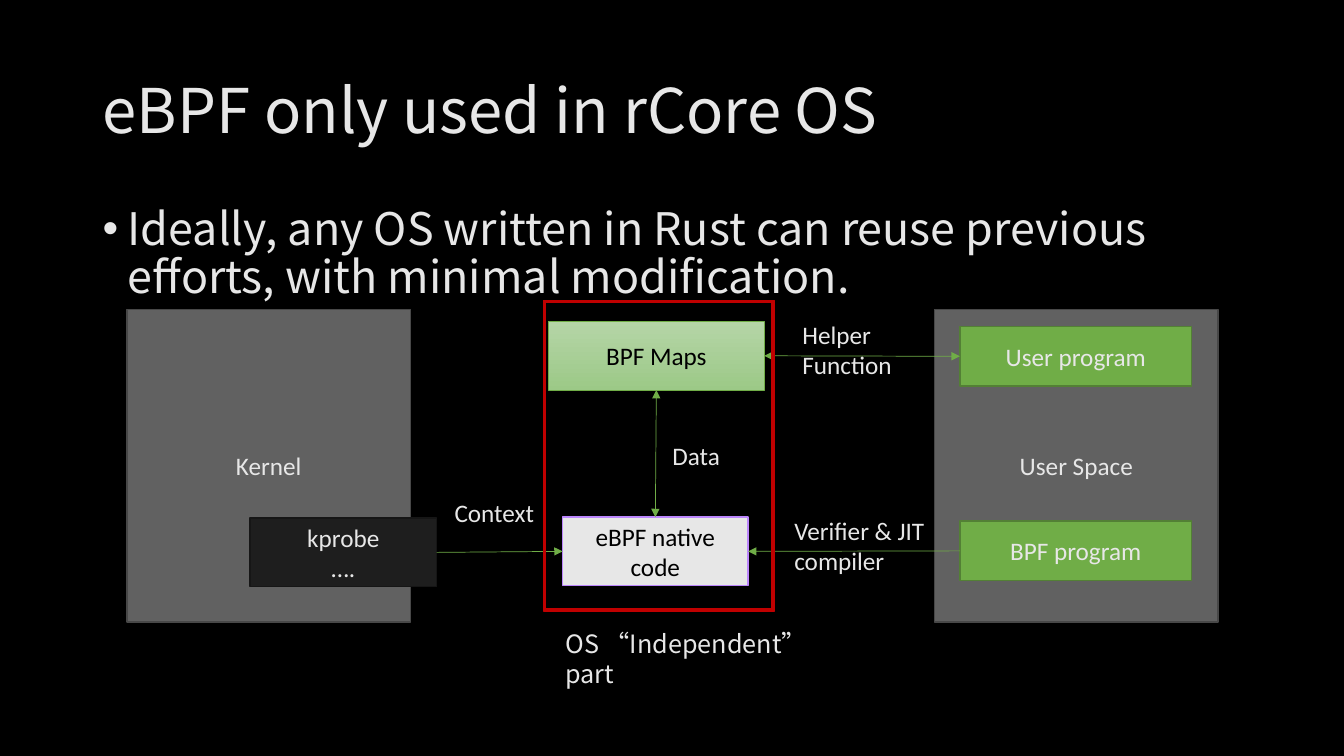
from lxml.etree import SubElement
from pptx import Presentation
from pptx.dml.color import RGBColor
from pptx.enum.shapes import MSO_CONNECTOR as Link, MSO_SHAPE as Shape
from pptx.enum.text import MSO_ANCHOR as Anchor, MSO_AUTO_SIZE as Fit, PP_ALIGN as Align
from pptx.oxml.ns import qn
from pptx.util import Inches, Pt

TOP, LEFT, BOTTOM, RIGHT = range(4)  # connection sites of a rectangle


def colour(code):
    return RGBColor.from_string(code)


class Sketch:
    """Style and current slide; places are columns and rows of a 0.1 inch grid."""

    CELL = 0.1
    PALE, BLACK, GREEN = "E7E7E7", "000000", "70AD47"
    BODY, HEADING = "Calibri", "Noto Sans CJK SC"

    def __init__(self, deck):
        self.slide = deck.slides.add_slide(deck.slide_layouts[5])
        self.shapes = self.slide.shapes
        self.slide.background.fill.solid()
        self.slide.background.fill.fore_color.rgb = colour(self.BLACK)

    def grid(self, *cells):
        return [Inches(cell * self.CELL) for cell in cells]

    def add_span(self, para, text, size=18, font=BODY, ink=PALE):
        span = para.add_run()
        span.text = text
        span.font.size = Pt(size)
        span.font.name = font
        span.font.color.rgb = colour(ink)
        SubElement(span.font._element, qn("a:ea"), typeface=font)

    def title(self, text, place):
        box = self.shapes.title
        box.left, box.top, box.width, box.height = self.grid(*place)
        frame = box.text_frame
        frame.auto_size = Fit.NONE
        frame.vertical_anchor = Anchor.MIDDLE
        para = frame.paragraphs[0]
        para.alignment = Align.LEFT
        para.line_spacing = 0.9
        self.add_span(para, text, 44, self.HEADING)

    def label(self, text, place, size=18, font=BODY):
        box = self.shapes.add_textbox(*self.grid(*place))
        box.text_frame.word_wrap = True
        para = box.text_frame.paragraphs[0]
        self.add_span(para, text, size, font)
        return para

    def bullet(self, text, place):
        para = self.label(text, place, 32, self.HEADING)
        para.line_spacing = 0.9
        props = para._p.get_or_add_pPr()
        props.set("marL", str(Inches(0.25)))
        props.set("indent", str(-Inches(0.25)))
        SubElement(props, qn("a:buFont"), typeface="Arial")
        SubElement(props, qn("a:buChar"), char="•")

    def box(self, lines, place, fill, edge, ink=PALE, weight=1, kind=Shape.RECTANGLE):
        """Draw a filled shape; a pair of fills runs from top to bottom."""
        shape = self.shapes.add_shape(kind, *self.grid(*place))
        shape.shadow.inherit = False
        if isinstance(fill, tuple):
            shape.fill.gradient()
            shape.fill.gradient_angle = 270
            for stop, (position, code) in zip(shape.fill.gradient_stops, enumerate(fill)):
                stop.position = position
                stop.color.rgb = colour(code)
        else:
            shape.fill.solid()
            shape.fill.fore_color.rgb = colour(fill)
        shape.line.color.rgb = colour(edge)
        shape.line.width = Pt(weight)
        frame = shape.text_frame
        frame.vertical_anchor = Anchor.MIDDLE
        for index, text in enumerate(lines):
            para = frame.add_paragraph() if index else frame.paragraphs[0]
            para.alignment = Align.CENTER
            self.add_span(para, text, ink=ink)
        return shape

    def arrow(self, start, start_site, end, end_site, both=False):
        line = self.shapes.add_connector(Link.STRAIGHT, 0, 0, 0, 0)
        line.begin_connect(start, start_site)
        line.end_connect(end, end_site)
        line.line.color.rgb = colour(self.GREEN)
        line.line.width = Pt(0.5)
        for tip in ("headEnd", "tailEnd") if both else ("tailEnd",):
            SubElement(line.line._get_or_add_ln(), qn(f"a:{tip}"), type="triangle")
        SubElement(line._element.spPr, qn("a:effectLst"))


def main():
    deck = Presentation()
    deck.slide_width, deck.slide_height = Inches(13.33), Inches(7.5)
    sketch = Sketch(deck)
    pale, black, green = sketch.PALE, sketch.BLACK, sketch.GREEN

    sketch.title("eBPF only used in rCore OS", (9.2, 4, 115, 14.5))
    sketch.bullet("Ideally, any OS written in Rust can reuse previous efforts, "
                  "with minimal modification.", (9.2, 20, 115, 47.6))

    for name, column in (("Kernel", 12.6), ("User Space", 92.7)):
        sketch.box([name], (column, 30.7, 28.1, 31), "616161", "484848")
    kprobe = sketch.box(["kprobe", "…."], (24.8, 51.4, 18.5, 6.8), "1E1E1E", "161616")
    native = sketch.box(["eBPF native code"], (55.8, 51.3, 18.4, 6.8), pale, "BB86FC", black)
    maps = sketch.box(["BPF Maps"], (54.4, 31.9, 21.4, 6.8), ("B5D5A7", "9CC987"),
                      green, black, 0.5)
    user, program = [
        sketch.box([name], (95.2, row, 23, 5.9), green, "538035")
        for name, row in (("User program", 32.4), ("BPF program", 51.7))
    ]

    sketch.arrow(kprobe, RIGHT, native, LEFT)
    sketch.arrow(native, TOP, maps, BOTTOM, both=True)
    sketch.arrow(user, LEFT, maps, RIGHT, both=True)
    sketch.arrow(program, LEFT, native, RIGHT)

    sketch.label("Context", (44.1, 48.8, 17.4, 4))
    sketch.label("Data", (65.7, 43.2, 19.5, 4))
    sketch.label("Helper Function", (78.6, 31.2, 13.8, 7.1))
    sketch.label("Verifier & JIT compiler", (77.8, 50.6, 15.4, 7.1))

    border = sketch.box([], (53.9, 29.8, 22.9, 30.8), "C00000", "C00000", kind=Shape.FRAME)
    border.adjustments[0] = 0.01
    sketch.label("OS “Independent” part", (55.1, 61.8, 27, 4), font=sketch.HEADING)

    deck.save("out.pptx")


if __name__ == "__main__":
    main()
